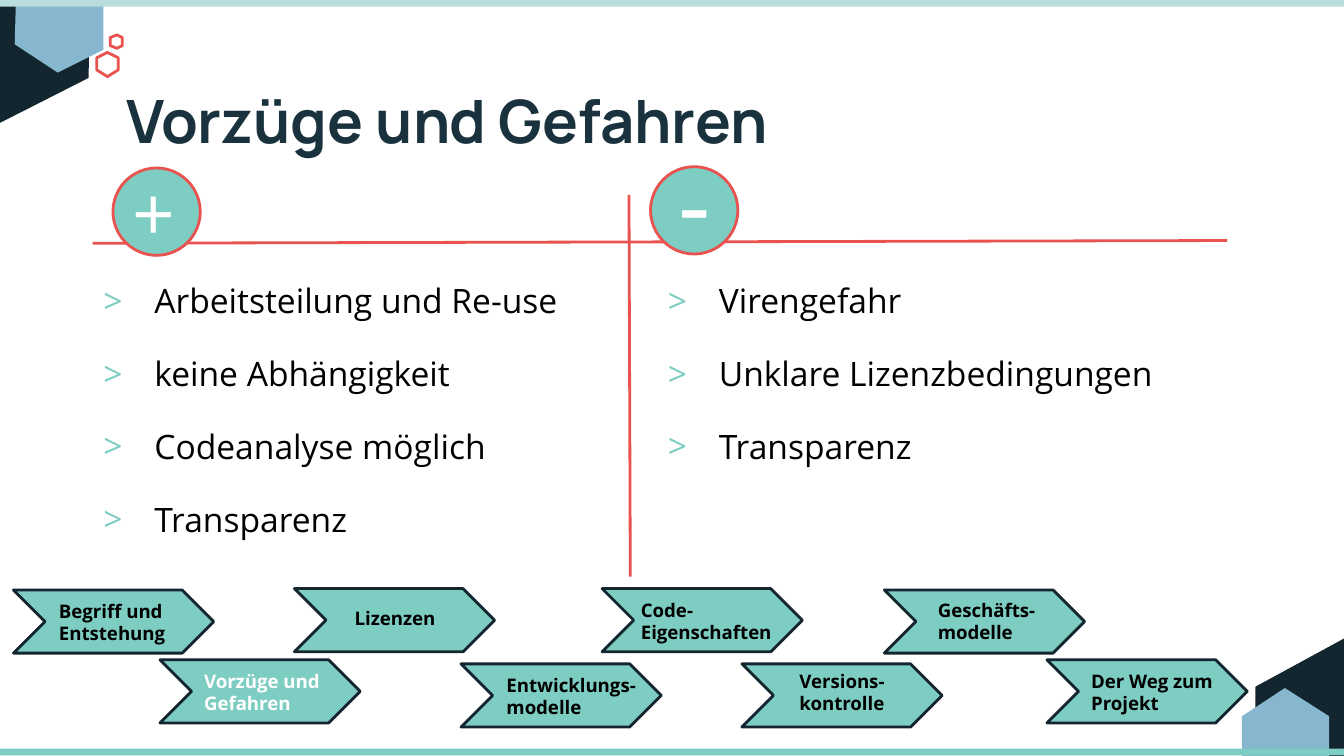
from pptx import Presentation
from pptx import util as u
from pptx.dml.color import RGBColor
from pptx.enum import shapes, text
from pptx.oxml import parse_xml
from pptx.oxml.ns import nsdecls, qn

PX = 9144  # EMU per px, 100 px to the inch


class Theme:
    navy = RGBColor.from_string("13252E")
    title = RGBColor.from_string("19323E")
    blue = RGBColor.from_string("86B7CE")
    teal = RGBColor.from_string("7ECDC3")
    pale = RGBColor.from_string("B9DCDC")
    red = RGBColor.from_string("E8524F")
    black = RGBColor.from_string("000000")
    white = RGBColor.from_string("FFFFFF")
    heading_font, body_font = "Manrope", "Open Sans"
    title_size, body_size, label_size = 32, 18, 10
    plus_size, minus_size = 40, 54
    stroke = u.Pt(1.5)


def paint(shape, fill=None, line=None):
    shape.shadow.inherit = False
    if fill is None:
        shape.fill.background()
    else:
        shape.fill.solid()
        shape.fill.fore_color.rgb = fill
    if line is None:
        shape.line.fill.background()
    else:
        shape.line.color.rgb = line
        shape.line.width = Theme.stroke


def write(left, top, width, height, words, size, color, bold=False):
    box = page.shapes.add_textbox(left * PX, top * PX, width * PX, height * PX)
    box.text_frame.word_wrap = True
    box.text_frame.text = words
    for para in box.text_frame.paragraphs:
        for span in para.runs:
            span.font.name = Theme.body_font
            span.font.size = u.Pt(size)
            span.font.bold = bold
            span.font.color.rgb = color
    return box


# Widescreen page, 16:9
deck = Presentation()
deck.slide_width = 1000 * PX
deck.slide_height = deck.slide_width * 9 // 16
page = deck.slides.add_slide(deck.slide_layouts[5])

# Corner hexagons
hexagons = [
    ([(1069, 511), (1002, 474), (934, 511), (934, 593), (1001, 629), (1069, 593)], Theme.navy, None),
    ([(989, 533), (956, 512), (924, 533), (924, 569), (956, 588), (989, 569)], Theme.blue, None),
    ([(-3, -61), (-68, -26), (-69, 50), (-3, 93), (66, 58), (67, -24)], Theme.navy, None),
    ([(72, 52), (80, 57), (88, 52), (88, 43), (80, 39), (72, 43)], None, Theme.red),
    ([(43, -20), (12, -3), (11, 33), (43, 54), (77, 37), (77, -2)], Theme.blue, None),
    ([(82, 34), (87, 36), (91, 34), (91, 28), (87, 26), (82, 28)], None, Theme.red),
]
for points, fill, line in hexagons:
    outline = page.shapes.build_freeform(*points[0], scale=PX)
    outline.add_line_segments(points[1:], close=True)
    paint(outline.convert_to_shape(), fill, line)

# Edge bars
for top, fill in [(557, Theme.teal), (0, Theme.pale)]:
    bar = page.shapes.add_shape(shapes.MSO_SHAPE.RECTANGLE, 0, top * PX, 1000 * PX, 5 * PX)
    paint(bar, fill)

# Title
title = page.shapes.title
title.left, title.top, title.width, title.height = 84 * PX, 59 * PX, 833 * PX, 62 * PX
frame = title.text_frame
frame.text = "Vorzüge und Gefahren"
frame.vertical_anchor = text.MSO_ANCHOR.BOTTOM
frame.margin_top, frame.margin_bottom = 0, 5 * PX
para = frame.paragraphs[0]
para.alignment = text.PP_ALIGN.LEFT
for span in para.runs:
    span.font.name = Theme.heading_font
    span.font.size = u.Pt(Theme.title_size)
    span.font.bold = True
    span.font.color.rgb = Theme.title

# Bulleted columns
columns = [
    (67, ["Arbeitsteilung und Re-use", "keine Abhängigkeit", "Codeanalyse möglich", "Transparenz"]),
    (487, ["Virengefahr", "Unklare Lizenzbedingungen", "Transparenz"]),
]
for left, points in columns:
    box = write(left, 191, 401, 318, "\n".join(points), Theme.body_size, Theme.black)
    box.text_frame.margin_top = 10 * PX
    for index, para in enumerate(box.text_frame.paragraphs):
        props = para._p.get_or_add_pPr()
        props.set("marL", str(38 * PX))
        props.set("indent", str(-38 * PX))
        props.append(parse_xml(f'<a:buClr {nsdecls("a")}><a:srgbClr val="{Theme.teal}"/></a:buClr>'))
        props.append(parse_xml(f'<a:buFont {nsdecls("a")} typeface="{Theme.body_font}"/>'))
        props.append(parse_xml(f'<a:buChar {nsdecls("a")} char="&gt;"/>'))
        para.line_spacing = 1.25
        para.space_before = u.Pt(12 if index else 0)

# Cross lines
for ends in [(468, 145, 469, 429), (69, 181, 913, 179)]:
    rule = page.shapes.add_connector(shapes.MSO_CONNECTOR.STRAIGHT, *(end * PX for end in ends))
    rule.line.color.rgb = Theme.red
    rule.line.width = Theme.stroke
    rule._element.spPr.append(rule._element.makeelement(qn("a:effectLst"), {}))

# Plus and minus badges
for left, top in [(84, 125), (484, 124)]:
    badge = page.shapes.add_shape(shapes.MSO_SHAPE.OVAL, left * PX, top * PX, 65 * PX, 65 * PX)
    paint(badge, Theme.teal, Theme.red)
write(89, 119, 150, 77, "+", Theme.plus_size, Theme.white)
write(495, 100, 128, 100, "-", Theme.minus_size, Theme.white)

# Chapter chevrons: chevron left and top, label left and middle, label
current = "Vorzüge und Gefahren"
chapters = [
    (10, 439, 34, 463, "Begriff und Entstehung"),
    (119, 491, 142, 515, current),
    (219, 438, 254, 460, "Lizenzen"),
    (343, 494, 367, 518, "Entwicklungs-\nmodelle"),
    (448, 438, 467, 462, "Code-\nEigenschaften"),
    (552, 494, 585, 515, "Versions-\nkontrolle"),
    (658, 439, 688, 462, "Geschäfts-\nmodelle"),
    (779, 491, 802, 515, "Der Weg zum\nProjekt"),
]
for left, top, label_left, middle, words in chapters:
    chevron = page.shapes.add_shape(shapes.MSO_SHAPE.CHEVRON, left * PX, top * PX, 149 * PX, 47 * PX)
    paint(chevron, Theme.teal, Theme.navy)
    color = Theme.white if words == current else Theme.black
    label = write(label_left, middle - 22, 132, 44, words, Theme.label_size, color, bold=True)
    label.text_frame.vertical_anchor = text.MSO_ANCHOR.MIDDLE

deck.save("out.pptx")
